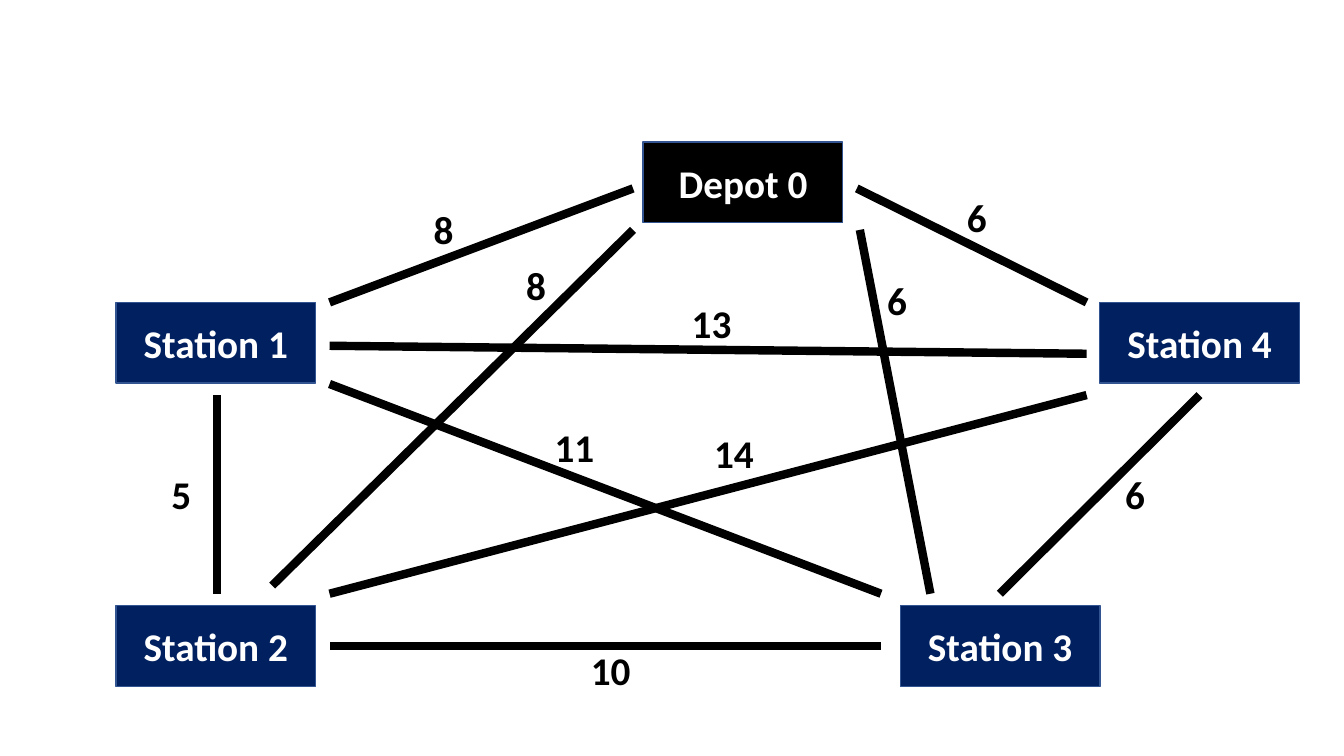
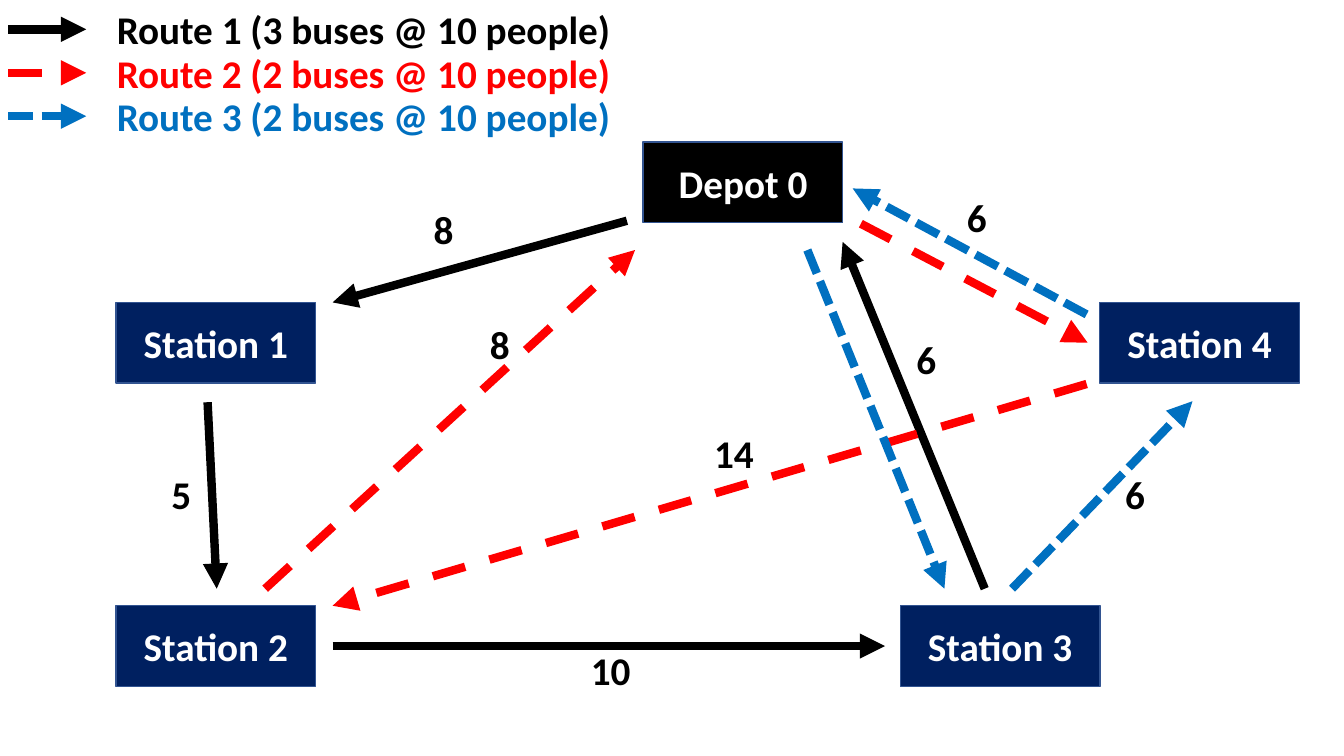
from dataclasses import dataclass

from pptx import Presentation
from pptx.dml.color import RGBColor
from pptx.enum.dml import MSO_LINE
from pptx.enum.shapes import MSO_CONNECTOR, MSO_SHAPE
from pptx.enum.text import MSO_ANCHOR, MSO_AUTO_SIZE, PP_ALIGN
from pptx.oxml.ns import qn
from pptx.slide import Slide
from pptx.text.text import TextFrame
from pptx.util import Pt
from lxml import etree

RECT = MSO_SHAPE.RECTANGLE
STRAIGHT = MSO_CONNECTOR.STRAIGHT
LEFT, CENTER = PP_ALIGN.LEFT, PP_ALIGN.CENTER
MIDDLE = MSO_ANCHOR.MIDDLE
FIT = MSO_AUTO_SIZE.SHAPE_TO_FIT_TEXT
DASH, SHORT_DASH = MSO_LINE.DASH, MSO_LINE.SQUARE_DOT
BLANK = 6


@dataclass(frozen=True)
class Theme:
    font: str = "Calibri"
    size: float = 28
    edge_width: float = 6
    border_width: float = 1
    black: str = "000000"
    white: str = "FFFFFF"
    navy: str = "002060"
    border: str = "325491"
    red: str = "FF0000"
    blue: str = "0070C0"


THEME = Theme()


@dataclass(frozen=True)
class Node:
    name: str
    x: float
    y: float
    fill: str = THEME.navy


@dataclass(frozen=True)
class Edge:
    x1: float
    y1: float
    x2: float
    y2: float


@dataclass(frozen=True)
class Cost:
    text: str
    center: float
    top: float


@dataclass(frozen=True)
class Route:
    name: str
    color: str
    dash: MSO_LINE | None
    edges: tuple[Edge, ...]


NODE_W, NODE_H = 142.6, 57.6
TEXT_H = 41
DIGIT_W = 14.4
LEGEND_X1, LEGEND_X2, LEGEND_TEXT_X, LEGEND_TEXT_W = 5.8, 61.6, 76.3, 370.8
LEGEND_Y, LEGEND_STEP = 21, 31

LEFT_X, UPPER_Y, LOWER_Y = 82.8, 216, 432.7
NODES = (
    Node("Station 1", LEFT_X, UPPER_Y),
    Node("Station 2", LEFT_X, LOWER_Y),
    Node("Depot 0", 459.4, 101.5, THEME.black),
    Node("Station 4", 785.5, UPPER_Y),
    Node("Station 3", 643, LOWER_Y),
)

NETWORK = (
    Edge(452.2, 134.6, 235.4, 216),
    Edge(154.8, 424.1, 154.8, 282.2),
    Edge(714.2, 424.1, 856.8, 282.2),
    Edge(612, 134.6, 776.2, 216),
    Edge(629.3, 461.5, 235.4, 461.5),
    Edge(629.3, 424.1, 235.4, 274.3),
    Edge(776.2, 252.7, 235.4, 247),
    Edge(776.2, 282.2, 235.4, 424.1),
    Edge(452.2, 164.2, 194.4, 418.3),
    Edge(614.2, 164.2, 664.6, 424.1),
)

ROUTES = (
    Route("Route 1 (3 buses @ 10 people)", THEME.black, None, (
        Edge(447.8, 157.7, 237.6, 216),
        Edge(148.3, 287.3, 154.8, 420.5),
        Edge(237.6, 461.5, 632.2, 461.5),
        Edge(703.4, 420.5, 601.9, 172.8),
    )),
    Route("Route 2 (2 buses @ 10 people)", THEME.red, DASH, (
        Edge(614.9, 159.8, 776.9, 244.8),
        Edge(776.2, 274.3, 237.6, 432.7),
        Edge(189.4, 420.5, 453.6, 178.6),
    )),
    Route("Route 3 (2 buses @ 10 people)", THEME.blue, SHORT_DASH, (
        Edge(576.7, 178.6, 674.6, 420.5),
        Edge(722.9, 420.5, 851.8, 286.6),
        Edge(776.2, 224.6, 609.1, 134.6),
    )),
)

SHARED_COSTS = (
    Cost("8", 316.8, 143.3),
    Cost("5", 129.6, 332.6),
    Cost("6", 810.7, 332.6),
    Cost("6", 697.7, 134.6),
    Cost("10", 436.3, 457.9),
    Cost("14", 524.2, 303.1),
)
NETWORK_COSTS = (
    Cost("8", 383, 182.9),
    Cost("13", 508.3, 210.2),
    Cost("11", 410.4, 298.8),
    Cost("6", 640.8, 193.7),
)
ROUTE_COSTS = (
    Cost("8", 357.1, 225.4),
    Cost("6", 661.7, 236.2),
)


def rgb(color: str) -> RGBColor:
    return RGBColor.from_string(color)


def write(tf: TextFrame, text: str, color: str, align: PP_ALIGN) -> None:
    tf.text = text
    p = tf.paragraphs[0]
    p.alignment = align
    font = p.runs[0].font
    font.name, font.size, font.bold = THEME.font, Pt(THEME.size), True
    font.color.rgb = rgb(color)


def add_text(s: Slide, text: str, x: float, y: float, w: float,
             color: str = THEME.black, align: PP_ALIGN = CENTER) -> None:
    tf = s.shapes.add_textbox(Pt(x), Pt(y), Pt(w), Pt(TEXT_H)).text_frame
    tf.word_wrap = False
    tf.auto_size = FIT
    write(tf, text, color, align)


def add_node(s: Slide, node: Node) -> None:
    sp = s.shapes.add_shape(RECT, Pt(node.x), Pt(node.y), Pt(NODE_W), Pt(NODE_H))
    sp.shadow.inherit = False
    sp.fill.solid()
    sp.fill.fore_color.rgb = rgb(node.fill)
    sp.line.color.rgb = rgb(THEME.border)
    sp.line.width = Pt(THEME.border_width)
    sp.text_frame.vertical_anchor = MIDDLE
    write(sp.text_frame, node.name, THEME.white, CENTER)


def add_edge(s: Slide, edge: Edge, color: str = THEME.black,
             dash: MSO_LINE | None = None, arrow: bool = False) -> None:
    sp = s.shapes.add_connector(STRAIGHT, Pt(edge.x1), Pt(edge.y1),
                                Pt(edge.x2), Pt(edge.y2))
    sp.line.color.rgb = rgb(color)
    sp.line.width = Pt(THEME.edge_width)
    if dash is not None:
        sp.line.dash_style = dash
    if dash == SHORT_DASH:
        sp.line._ln.find(qn("a:prstDash")).set("val", "sysDash")
    if arrow:
        etree.SubElement(sp.line._ln, qn("a:tailEnd"), type="triangle")
    etree.SubElement(sp._element.spPr, qn("a:effectLst"))


def add_costs(s: Slide, costs: tuple[Cost, ...]) -> None:
    for cost in costs:
        w = DIGIT_W * (len(cost.text) + 1)
        add_text(s, cost.text, cost.center - w / 2, cost.top, w)


def add_nodes(s: Slide) -> None:
    for node in NODES:
        add_node(s, node)


def build_network(s: Slide) -> None:
    add_nodes(s)
    for edge in NETWORK:
        add_edge(s, edge)
    add_costs(s, SHARED_COSTS + NETWORK_COSTS)


def build_routes(s: Slide) -> None:
    add_nodes(s)
    for i, route in enumerate(ROUTES):
        y = LEGEND_Y + i * LEGEND_STEP
        key = Edge(LEGEND_X1, y, LEGEND_X2, y)
        for edge in (key, *route.edges):
            add_edge(s, edge, route.color, route.dash, arrow=True)
        add_text(s, route.name, LEGEND_TEXT_X, y - TEXT_H / 2, LEGEND_TEXT_W,
                 route.color, LEFT)
    add_costs(s, SHARED_COSTS + ROUTE_COSTS)


def main() -> None:
    prs = Presentation()
    prs.slide_width, prs.slide_height = Pt(960), Pt(540)
    for build in (build_network, build_routes):
        build(prs.slides.add_slide(prs.slide_layouts[BLANK]))
    prs.save("out.pptx")


if __name__ == "__main__":
    main()
